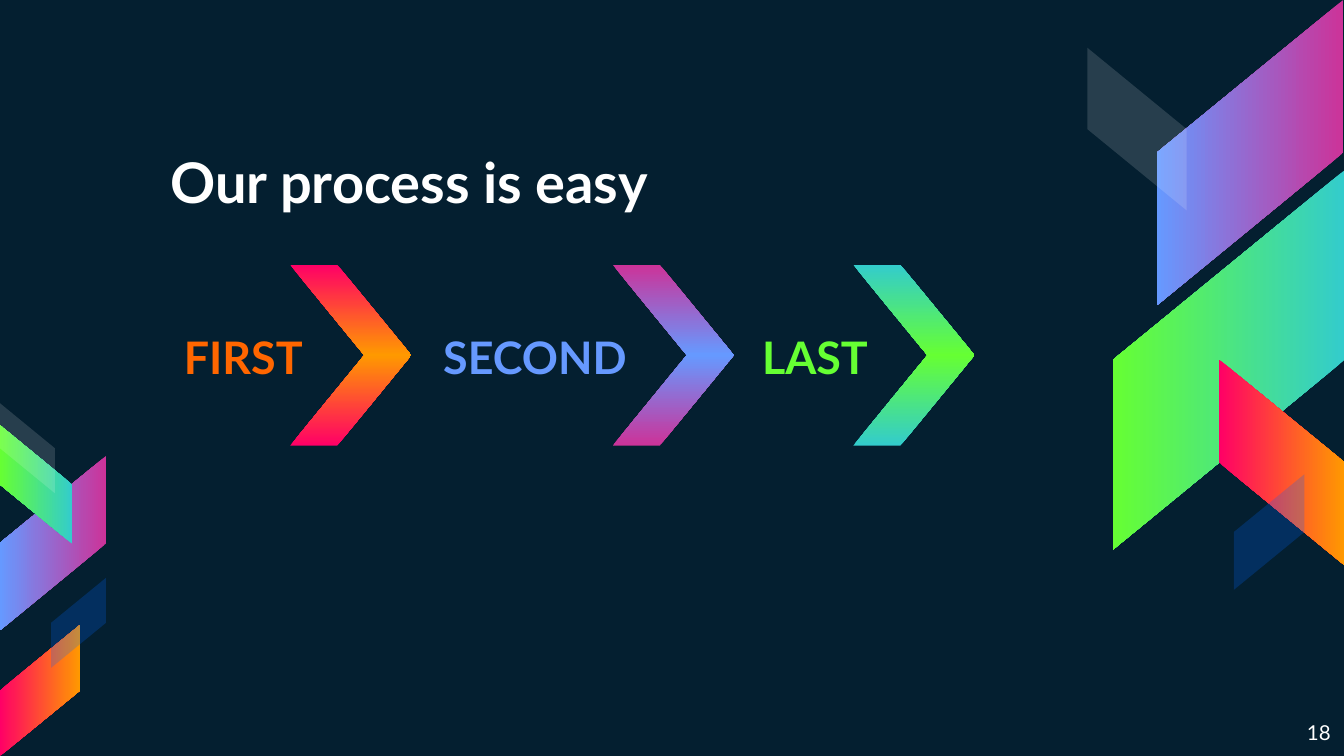
from lxml import etree
from pptx import Presentation
from pptx.dml.color import RGBColor
from pptx.enum.shapes import MSO_SHAPE
from pptx.enum.text import MSO_ANCHOR as ANCHOR, PP_ALIGN as ALIGN
from pptx.oxml.ns import qn
from pptx.util import Inches, Pt

CELL = 0.1
COLS, ROWS = 100, 56.25
SLANT = 0.819
RATIO = 0.61
PURPLE = ("CC3399", "6699FF")
GREEN = ("33CCCC", "66FF33")
ORANGE = ("FF0066", "FF9900")
WHITE_GLASS = ("FFFFFF", 14)
BLUE_GLASS = ("0066FF", 23)


def grid(n):
    return Inches(n * CELL)


def rgb(color):
    return RGBColor.from_string(color)


def fill_gradient(sp, colors):
    sp.fill.gradient()
    sp.fill.gradient_angle = 270
    for stop, color in zip(sp.fill.gradient_stops, colors):
        stop.color.rgb = rgb(color)


def fill_glass(sp, glass):
    color, opacity = glass
    sp.fill.solid()
    sp.fill.fore_color.rgb = rgb(color)
    clr = sp._element.spPr.find(qn("a:solidFill"))[0]
    etree.SubElement(clr, qn("a:alpha")).set("val", str(opacity * 1000))


def add_band(shapes, box, fill, rotation=0, flip=False):
    sp = shapes.add_shape(MSO_SHAPE.PARALLELOGRAM, *map(grid, box))
    sp.adjustments[0] = SLANT
    sp.rotation = rotation
    if flip:
        sp._element.spPr.find(qn("a:xfrm")).set("flipH", "1")
    sp.shadow.inherit = False
    sp.line.fill.background()
    if fill in (WHITE_GLASS, BLUE_GLASS):
        fill_glass(sp, fill)
    else:
        fill_gradient(sp, fill)


def add_cluster(s, left, top, bands):
    group = s.shapes.add_group_shape()
    for x, y, length, fill, rotation, flip in bands:
        depth = length * RATIO
        shift = (length - depth) / 2
        box = (left + x - shift, top + y + shift, length, depth)
        add_band(group.shapes, box, fill, rotation, flip)


def add_chevron(s, box, fill):
    x, y, w, h = box
    group = s.shapes.add_group_shape()
    add_band(group.shapes, (x, y, w, h / 2), fill, flip=True)
    add_band(group.shapes, (x, y + h / 2, w, h / 2), fill, rotation=180)


def add_text(s, box, text, size, color="FFFFFF", bold=True,
             align=ALIGN.RIGHT, anchor=ANCHOR.MIDDLE):
    tf = s.shapes.add_textbox(*map(grid, box)).text_frame
    tf.word_wrap = True
    tf.vertical_anchor = anchor
    tf.margin_left = tf.margin_right = grid(1)
    tf.margin_top = tf.margin_bottom = grid(1)
    p = tf.paragraphs[0]
    p.alignment = align
    r = p.add_run()
    r.text = text
    r.font.name = "Lato"
    r.font.size = Pt(size)
    r.font.bold = bold
    r.font.color.rgb = rgb(color)


def add_process(s, top, height, steps):
    for _, _, _, arrow_left, fill, _ in steps:
        add_chevron(s, (arrow_left, top, 9, height), fill)
    for label, left, width, _, _, color in steps:
        add_text(s, (left, top + 0.1, width, height), label, 24, color)


def main():
    prs = Presentation()
    prs.slide_width, prs.slide_height = grid(COLS), grid(ROWS)
    s = prs.slides.add_slide(prs.slide_layouts[6])
    s.background.fill.solid()
    s.background.fill.fore_color.rgb = rgb("041F30")

    add_cluster(s, 80.9, 0, [
        (5.2, 0, 22.7, PURPLE, 90, True),
        (1.9, 12.7, 28.2, GREEN, 90, True),
        (9.8, 26.75, 15.3, ORANGE, 270, False),
        (0, 3.55, 12.1, WHITE_GLASS, 270, False),
        (10.9, 35.3, 8.6, BLUE_GLASS, 270, True),
    ])
    add_cluster(s, 0, 30, [
        (0, 3.9, 13, PURPLE, 90, True),
        (0, 1.65, 8.8, GREEN, 90, False),
        (0, 16.5, 9.75, ORANGE, 270, True),
        (0, 0, 6.7, WHITE_GLASS, 270, False),
        (3.8, 13, 6.7, BLUE_GLASS, 270, True),
    ])
    add_text(s, (11.7, 9.95, 65.3, 7), "Our process is easy", 30,
             align=ALIGN.LEFT, anchor=ANCHOR.BOTTOM)
    add_process(s, 19.7, 13.45, [
        ("FIRST", 7, 16.5, 21.6, ORANGE, "FF6600"),
        ("SECOND", 27.1, 20.5, 45.6, PURPLE, "6699FF"),
        ("LAST", 49.05, 16.5, 63.5, GREEN, "66FF33"),
    ])
    add_text(s, (COLS - 6.4, ROWS - 3.6, 6.4, 3.6), "18", 11,
             bold=False, anchor=ANCHOR.TOP)
    prs.save("out.pptx")


if __name__ == "__main__":
    main()
